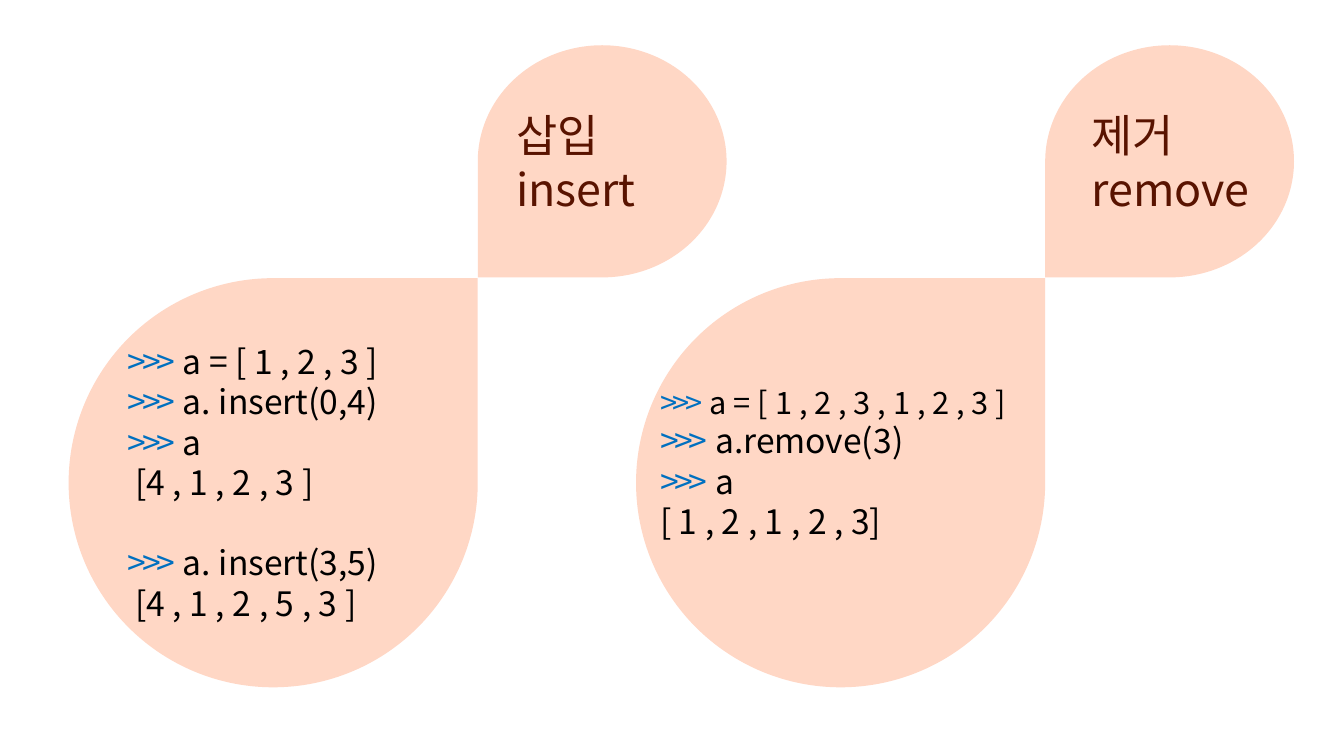
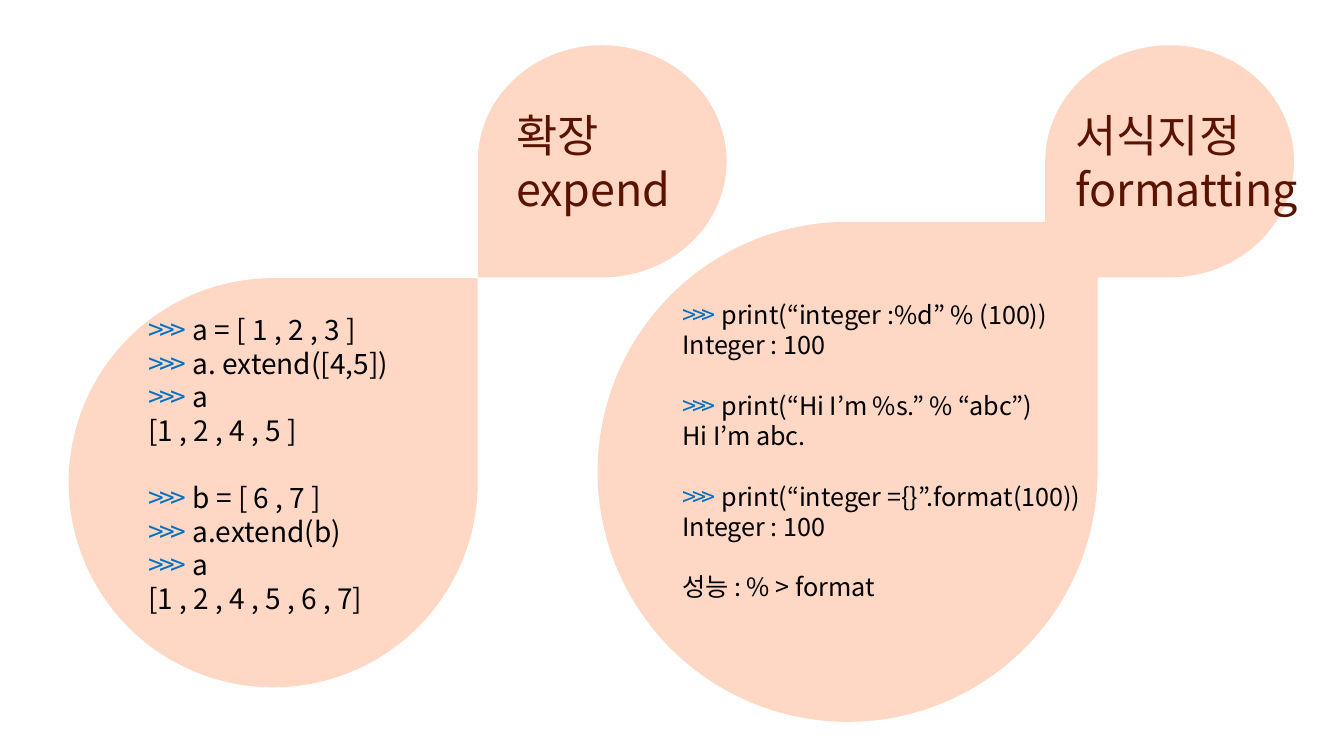
from dataclasses import dataclass

from pptx import Presentation
from pptx.dml.color import RGBColor
from pptx.enum.shapes import MSO_SHAPE
from pptx.enum.text import MSO_ANCHOR, MSO_AUTO_SIZE, PP_ALIGN
from pptx.oxml.ns import qn
from pptx.util import Cm, Pt

PEACH = RGBColor(0xFF, 0xD7, 0xC5)
BROWN = RGBColor(0x59, 0x13, 0x00)
BLUE = RGBColor(0x00, 0x70, 0xC0)
BLACK = RGBColor(0x00, 0x00, 0x00)

FONT = "Noto Sans CJK KR"
PROMPT = ">>>"
LINE_FACTOR = 1.2
HEADING_SIZE = 32
COMPARISON_LAYOUT = 4

PANEL_TOP = 1.14
PANEL_LEFTS = (1.73, 16.03)
HEADING_TOP, HEADING_HEIGHT = 1.45, 3
LEAF_LEFT, LEAF_WIDTH, LEAF_HEIGHT = 10.31, 6.27, 5.85
BULB = (0, 5.87, 10.31)


@dataclass
class Topic:
    heading: str
    heading_left: float
    heading_width: float
    code_box: tuple
    code_size: int
    blocks: list
    first_line_size: int = 0
    bulb: tuple = BULB


SLIDES = [
    (
        Topic("삽입\ninsert", 11.02, 4.83, (1.24, 7.32, 9.02, 7.44), 24, [
            [">>> a = [ 1 , 2 , 3 ]", ">>> a. insert(0,4)", ">>> a", " [4 , 1 , 2 , 3 ]"],
            [">>> a. insert(3,5)", " [4 , 1 , 2 , 5 , 3 ]"],
        ]),
        Topic("제거\nremove", 11.22, 4.83, (0.35, 8.39, 10.87, 4.27), 24, [
            [">>> a = [ 1 , 2 , 3 , 1 , 2 , 3 ]", ">>> a.remove(3)", ">>> a",
             "[ 1 , 2 , 1 , 2 , 3]"],
        ], first_line_size=22),
    ),
    (
        Topic("확장\nexpend", 11.02, 4.83, (1.75, 6.61, 9.02, 7.95), 20, [
            [">>> a = [ 1 , 2 , 3 ]", ">>> a. extend([4,5])", ">>> a", "[1 , 2 , 4 , 5 ]"],
            [">>> b = [ 6 , 7 ]", ">>> a.extend(b)", ">>> a", "[1 , 2 , 4 , 5 , 6 , 7]"],
        ]),
        Topic("서식지정\nformatting", 10.82, 6.27, (0.91, 6.28, 10.74, 9.5), 18, [
            [">>> print(“integer :%d” % (100))", "Integer : 100"],
            [">>> print(“Hi I’m %s.” % “abc”)", "Hi I’m abc."],
            [">>> print(“integer ={}”.format(100))", "Integer : 100"],
            ["성능 : % > format"],
        ], bulb=(-0.97, 4.45, 12.6)),
    ),
]


def add_drop(slide, left, top, width, height, rotation=0):
    drop = slide.shapes.add_shape(
        MSO_SHAPE.TEAR, Cm(left), Cm(top), Cm(width), Cm(height))
    drop.rotation = rotation
    drop.shadow.inherit = False
    drop.fill.solid()
    drop.fill.fore_color.rgb = PEACH
    drop.line.fill.background()


def place_text(holder, left, top, width, height):
    holder.left, holder.top = Cm(left), Cm(top)
    holder.width, holder.height = Cm(width), Cm(height)
    holder.element.getparent().append(holder.element)
    frame = holder.text_frame
    frame.word_wrap = True
    frame.auto_size = MSO_AUTO_SIZE.NONE
    frame.vertical_anchor = MSO_ANCHOR.TOP
    return frame


def format_paragraph(paragraph, size, gap=0):
    paragraph.alignment = PP_ALIGN.LEFT
    paragraph.line_spacing = Pt(size * LINE_FACTOR)
    paragraph.space_before = Pt(gap)
    paragraph.space_after = Pt(0)
    properties = paragraph._p.get_or_add_pPr()
    properties.set("marL", "0")
    properties.set("indent", "0")
    properties.append(properties.makeelement(qn("a:buNone"), {}))


def format_run(run, size, color):
    run.font.name = FONT
    run.font.size = Pt(size)
    run.font.bold = False
    run.font.color.rgb = color
    properties = run._r.get_or_add_rPr()
    properties.append(properties.makeelement(qn("a:ea"), {"typeface": FONT}))


def fill_heading(frame, heading):
    frame.text = heading
    for paragraph in frame.paragraphs:
        format_paragraph(paragraph, HEADING_SIZE)
        for run in paragraph.runs:
            format_run(run, HEADING_SIZE, BROWN)


def add_code_line(paragraph, line, size):
    if line.startswith(PROMPT):
        prompt = paragraph.add_run()
        prompt.text = PROMPT
        format_run(prompt, size, BLUE)
        prompt._r.get_or_add_rPr().set("spc", "-300")
        line = line[len(PROMPT):]
    code = paragraph.add_run()
    code.text = line
    format_run(code, size, BLACK)


def fill_code(frame, topic):
    paragraph = frame.paragraphs[0]
    for block_index, block in enumerate(topic.blocks):
        for line_index, line in enumerate(block):
            is_first = block_index == line_index == 0
            if not is_first:
                paragraph = frame.add_paragraph()
            starts_block = block_index > 0 and line_index == 0
            gap = topic.code_size * LINE_FACTOR if starts_block else 0
            size = is_first and topic.first_line_size or topic.code_size
            format_paragraph(paragraph, size, gap)
            add_code_line(paragraph, line, size)


def add_topic(slide, topic, left, top, heading_holder, code_holder):
    bulb_left, bulb_top, bulb_size = topic.bulb
    add_drop(slide, left + bulb_left, top + bulb_top, bulb_size, bulb_size)
    add_drop(slide, left + LEAF_LEFT, top, LEAF_WIDTH, LEAF_HEIGHT, rotation=180)

    heading_frame = place_text(
        heading_holder, left + topic.heading_left, top + HEADING_TOP,
        topic.heading_width, HEADING_HEIGHT)
    fill_heading(heading_frame, topic.heading)

    code_left, code_top, code_width, code_height = topic.code_box
    code_frame = place_text(
        code_holder, left + code_left, top + code_top, code_width, code_height)
    fill_code(code_frame, topic)


def add_topic_slide(deck, topics):
    slide = deck.slides.add_slide(deck.slide_layouts[COMPARISON_LAYOUT])
    holders = {holder.placeholder_format.idx: holder for holder in slide.placeholders}
    unused = holders[1].element
    unused.getparent().remove(unused)
    holder_pairs = ((holders[0], holders[2]), (holders[3], holders[4]))
    for topic, left, (heading, code) in zip(topics, PANEL_LEFTS, holder_pairs):
        add_topic(slide, topic, left, PANEL_TOP, heading, code)


deck = Presentation()
deck.slide_width, deck.slide_height = Cm(33.87), Cm(19.05)
for slide_topics in SLIDES:
    add_topic_slide(deck, slide_topics)
deck.save("out.pptx")
